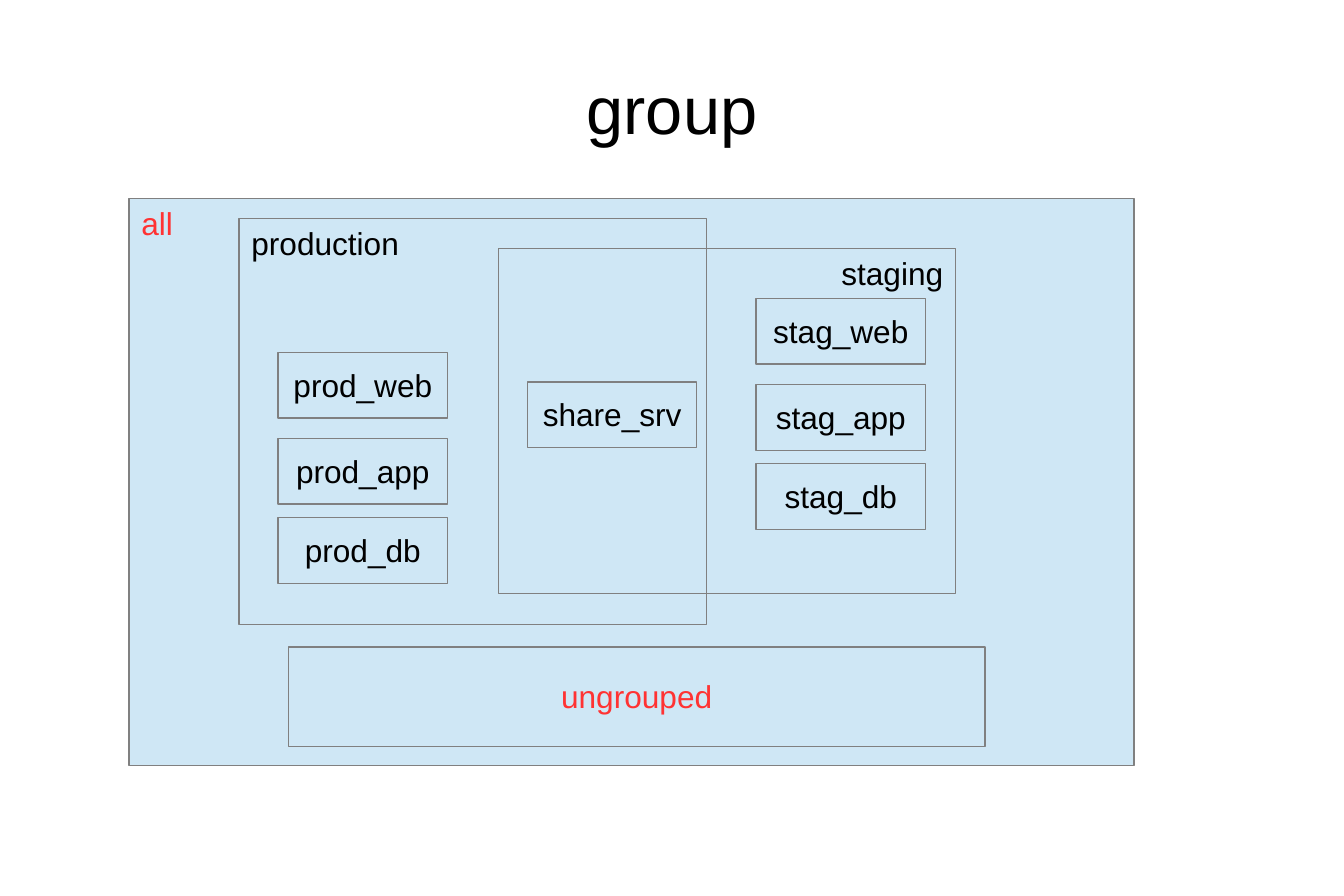
from dataclasses import dataclass

from pptx import Presentation
from pptx.dml.color import RGBColor
from pptx.enum.shapes import MSO_SHAPE as Shape
from pptx.enum.text import MSO_ANCHOR as Anchor, PP_ALIGN as Align
from pptx.util import Pt


@dataclass(frozen=True)
class Theme:
    font: str = "Arial"
    title_size: int = 38
    label_size: int = 18
    line_width: float = 0.75
    line_spacing: float = 0.93
    fill: RGBColor = RGBColor(0xCF, 0xE7, 0xF5)
    line: RGBColor = RGBColor(0x80, 0x80, 0x80)
    text: RGBColor = RGBColor(0, 0, 0)
    builtin: RGBColor = RGBColor(0xFF, 0x33, 0x33)


THEME = Theme()
PAGE_SIZE = (765.36, 510.48)
TITLE = ("group", (38.2, 20.2, 689, 85))

# label, (left, top, width, height), alignment, anchor, text colour, filled
ALL = ("all", (73.4, 113, 572.4, 323.3), Align.LEFT, Anchor.TOP, THEME.builtin, True)
UNGROUPED = ("ungrouped", (164.2, 368.6, 396.7, 56.9), Align.CENTER, Anchor.MIDDLE,
             THEME.builtin, True)
PRODUCTION = ("production", (136.1, 124.6, 266.4, 231.1), Align.LEFT, Anchor.TOP,
              THEME.text, True)
STAGING = ("staging", (283.7, 141.8, 260.6, 196.6), Align.RIGHT, Anchor.TOP,
           THEME.text, False)

# (left, top) of the first server, then the servers downwards
PRODUCTION_SERVERS = ((158.4, 200.7), ("prod_web", "prod_app", "prod_db"))
STAGING_SERVERS = ((430.6, 170), ("stag_web", "stag_app", "stag_db"))
SHARED_SERVERS = ((300.4, 217.6), ("share_srv",))
SERVER_SIZE = (96.5, 37.5)
SERVER_OFFSETS = (0, 49, 94.2)


def write(box, label, size, color, align, anchor, insets):
    frame = box.text_frame
    frame.text = label
    frame.word_wrap = True
    frame.vertical_anchor = anchor
    frame.margin_left, frame.margin_top, frame.margin_right, frame.margin_bottom = map(Pt, insets)
    para = frame.paragraphs[0]
    para.alignment = align
    para.line_spacing = THEME.line_spacing
    para.font.name = THEME.font
    para.font.size = Pt(size)
    para.font.color.rgb = color


def add_box(page, label, place, align, anchor, color, filled):
    box = page.shapes.add_shape(Shape.RECTANGLE, *map(Pt, place))
    box.shadow.inherit = False
    if filled:
        box.fill.solid()
        box.fill.fore_color.rgb = THEME.fill
    else:
        box.fill.background()
    box.line.color.rgb = THEME.line
    box.line.width = Pt(THEME.line_width)
    write(box, label, THEME.label_size, color, align, anchor, (7.2, 5, 7.2, 3.6))


def add_servers(page, start, labels):
    left, top = start
    for label, offset in zip(labels, SERVER_OFFSETS):
        add_box(page, label, (left, top + offset, *SERVER_SIZE),
                Align.CENTER, Anchor.MIDDLE, THEME.text, True)


def main():
    deck = Presentation()
    deck.slide_width, deck.slide_height = map(Pt, PAGE_SIZE)
    page = deck.slides.add_slide(deck.slide_layouts[6])

    label, place = TITLE
    title = page.shapes.add_textbox(*map(Pt, place))
    write(title, label, THEME.title_size, THEME.text, Align.CENTER, Anchor.MIDDLE, (0, 2.9, 0, 0))

    for group in (ALL, UNGROUPED, PRODUCTION):
        add_box(page, *group)
    add_servers(page, *PRODUCTION_SERVERS)
    add_box(page, *STAGING)
    add_servers(page, *STAGING_SERVERS)
    add_servers(page, *SHARED_SERVERS)

    deck.save("out.pptx")


if __name__ == "__main__":
    main()
